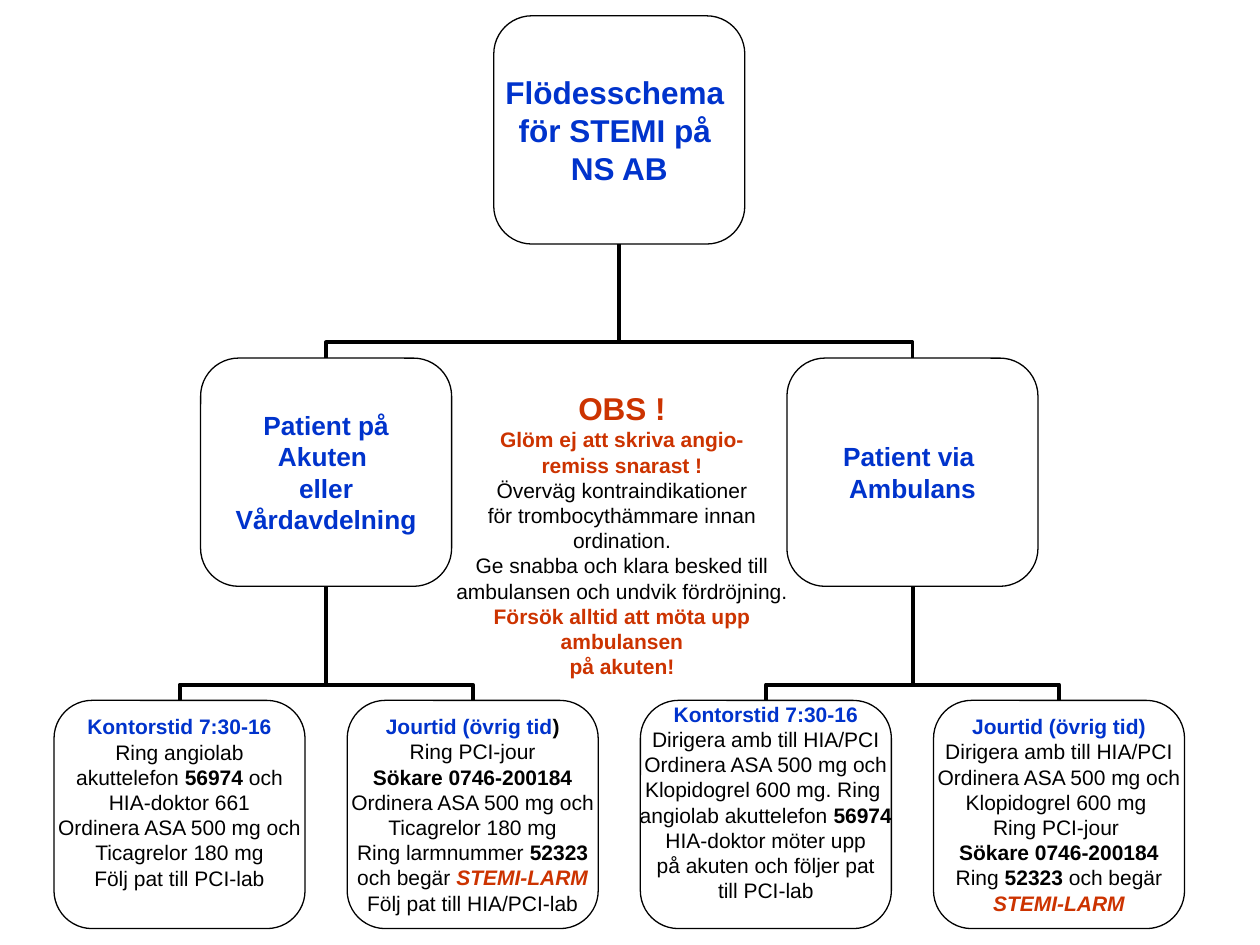
from pptx import Presentation
from pptx.dml.color import RGBColor
from pptx.enum.shapes import MSO_CONNECTOR, MSO_SHAPE
from pptx.enum.text import MSO_ANCHOR, PP_ALIGN
from pptx.oxml.ns import qn
from pptx.util import Cm, Pt
from lxml.etree import SubElement


def paint(color, code):
    color.rgb = RGBColor.from_string(code)


def write(frame, lines):
    frame.word_wrap = False
    for i, (size, *parts) in enumerate(lines):
        para = frame.paragraphs[0] if i == 0 else frame.add_paragraph()
        para.alignment = PP_ALIGN.CENTER
        para.font.name = "Arial"
        para.font.size = Pt(size)
        for (code, bold, slant), text in parts:
            run = para.add_run()
            run.text = text
            font = para.font if len(parts) == 1 else run.font
            font.bold = bold
            font.italic = slant
            paint(font.color, code)


blue = ("0033CC", True, False)
red = ("CC3300", True, False)
alarm = ("CC3300", True, True)
plain = ("000000", False, False)
bold = ("000000", True, False)

asa = (12, (plain, "Ordinera ASA 500 mg och"))
tica = (12, (plain, "Ticagrelor 180 mg"))
pager = (12, (bold, "Sökare 0746-200184"))
amb = (12, (plain, "Dirigera amb till HIA/PCI"))
office = (12, (blue, "Kontorstid 7:30-16"))

boxes = [
    (1.5, 0, 0, [
        (18, (blue, "Flödesschema ")),
        (18, (blue, "för STEMI på ")),
        (18, (blue, "NS AB")),
    ]),
    (0.5, 1, 0, [
        (15, (blue, "Patient på")),
        (15, (blue, "Akuten ")),
        (15, (blue, "eller")),
        (15, (blue, "Vårdavdelning")),
    ]),
    (2.5, 1, 0, [
        (15, (blue, "Patient via ")),
        (15, (blue, "Ambulans")),
    ]),
    (0, 2, 0.5, [
        office,
        (12, (plain, "Ring angiolab")),
        (12, (plain, "akuttelefon "), (bold, "56974"), (plain, " och")),
        (12, (plain, "HIA-doktor 661")),
        asa,
        tica,
        (12, (plain, "Följ pat till PCI-lab")),
    ]),
    (1, 2, 0, [
        (12, (blue, "Jourtid (övrig tid"), (bold, ")")),
        (12, (plain, "Ring PCI-jour")),
        pager,
        asa,
        tica,
        (12, (plain, "Ring larmnummer "), (bold, "52323")),
        (12, (plain, "och begär "), (alarm, "STEMI-LARM")),
        (12, (plain, "Följ pat till HIA/PCI-lab")),
    ]),
    (2, 2, 0.5, [
        office,
        amb,
        asa,
        (12, (plain, "Klopidogrel 600 mg. Ring ")),
        (12, (plain, "angiolab akuttelefon "), (bold, "56974")),
        (12, (plain, "HIA-doktor möter upp")),
        (12, (plain, "på akuten och följer pat")),
        (12, (plain, "till PCI-lab")),
    ]),
    (3, 2, 0, [
        (12, (blue, "Jourtid (övrig tid)")),
        amb,
        asa,
        (12, (plain, "Klopidogrel 600 mg ")),
        (12, (plain, "Ring PCI-jour ")),
        pager,
        (12, (plain, "Ring "), (bold, "52323"), (plain, " och begär")),
        (12, (alarm, "STEMI-LARM")),
    ]),
]

deck = Presentation()
deck.slide_width = Cm(25.4)
deck.slide_height = Cm(19.05)
shapes = deck.slides.add_slide(deck.slide_layouts[6]).shapes

nodes = []
for col, row, foot, lines in boxes:
    node = shapes.add_shape(MSO_SHAPE.ROUNDED_RECTANGLE, Cm(1.09 + 5.91 * col),
                            Cm(0.32 + 6.9 * row), Cm(5.06), Cm(4.6))
    node.shadow.inherit = False
    node.fill.background()
    node.line.width = Pt(0.75)
    paint(node.line.color, "000000")
    frame = node.text_frame
    frame.vertical_anchor = MSO_ANCHOR.MIDDLE
    frame.margin_left = frame.margin_right = frame.margin_top = 0
    frame.margin_bottom = Cm(foot)
    write(frame, lines)
    nodes.append(node)

for i, child in enumerate(nodes[1:]):
    top = nodes[i // 2]
    link = shapes.add_connector(MSO_CONNECTOR.ELBOW, 0, 0, 0, 0)
    link.begin_connect(child, 0)
    link.end_connect(top, 2)
    link.line.width = Pt(2.25)
    paint(link.line.color, "000000")
    props = link._element.spPr
    SubElement(props, qn("a:effectLst"))
    x1, x2 = child.left + child.width // 2, top.left + top.width // 2
    y1, y2 = child.top, top.top + top.height
    link.width, link.height = y1 - y2, abs(x1 - x2)
    link.left = (x1 + x2 - link.width) // 2
    link.top = (y1 + y2 - link.height) // 2
    left = x1 < x2
    form = props.find(qn("a:xfrm"))
    form.set("rot", "5400000" if left else "16200000")
    form.set("flipH", "1" if left else "0")
    form.set("flipV", "1")
    guides = props.find(qn("a:prstGeom")).get_or_add_avLst()
    SubElement(guides, qn("a:gd"), name="adj1", fmla="val 13800")

note = shapes.add_textbox(Cm(8.41), Cm(7.72), Cm(8.26), Cm(5.59))
write(note.text_frame, [
    (18, (red, "OBS !")),
    (12, (red, "Glöm ej att skriva angio-")),
    (12, (red, "remiss snarast !")),
    (12, (plain, "Överväg kontraindikationer")),
    (12, (plain, "för trombocythämmare innan")),
    (12, (plain, "ordination.")),
    (12, (plain, "Ge snabba och klara besked till")),
    (12, (plain, "ambulansen och undvik fördröjning.")),
    (12, (red, "Försök alltid att möta upp ambulansen")),
    (12, (red, "på akuten!")),
])

deck.save("out.pptx")
